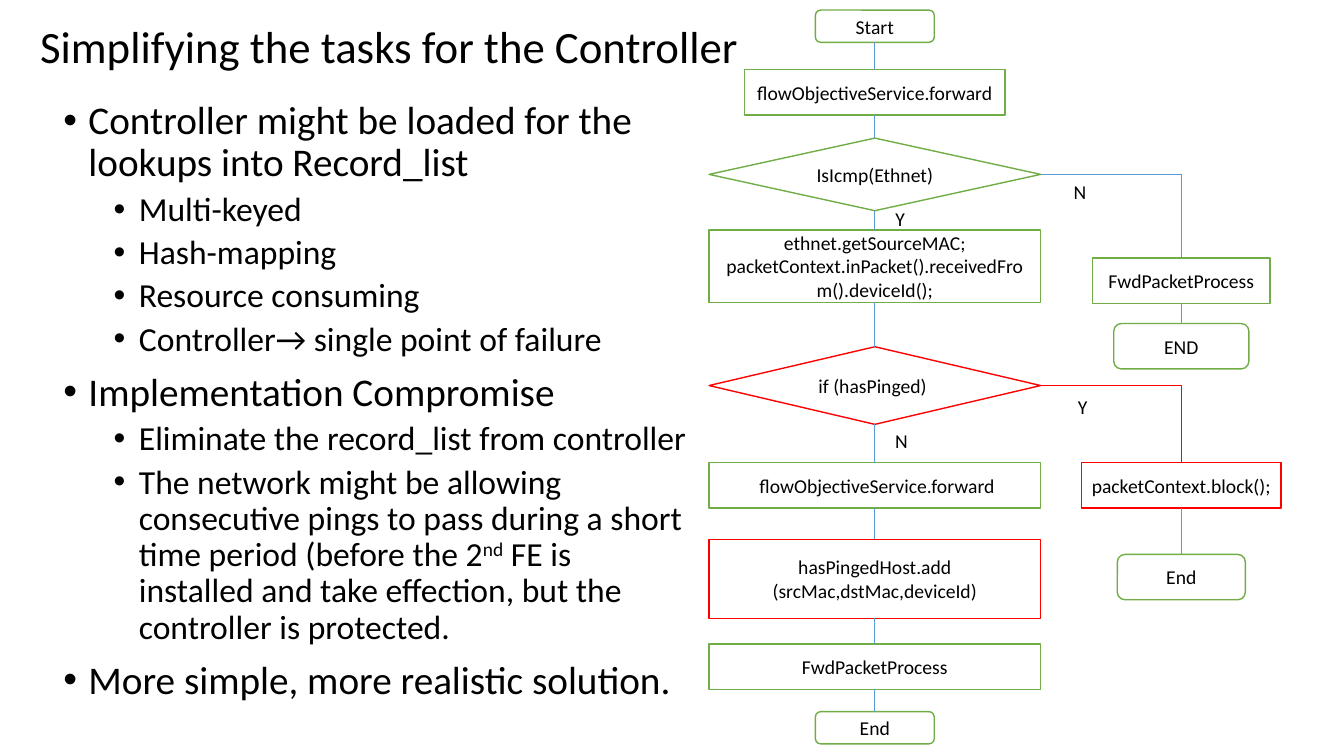
from dataclasses import dataclass
from typing import Any, NamedTuple

import lxml.etree
import pptx
import pptx.dml.color
import pptx.enum.shapes
import pptx.enum.text
import pptx.oxml.ns
import pptx.shapes.autoshape
import pptx.slide
import pptx.text.text
import pptx.util

SHAPES = pptx.enum.shapes.MSO_SHAPE
ALIGN = pptx.enum.text.PP_ALIGN
ANCHOR = pptx.enum.text.MSO_ANCHOR
AUTO_SIZE = pptx.enum.text.MSO_AUTO_SIZE
Box = pptx.shapes.autoshape.Shape


@dataclass(frozen=True)
class Theme:
    font: str = "Calibri"
    ink: str = "000000"
    paper: str = "FFFFFF"
    existing: str = "70AD47"
    added: str = "FF0000"
    flow: str = "5B9BD5"
    title_size: int = 32
    point_size: int = 28
    detail_size: int = 24
    chart_size: int = 14
    border: float = 1
    connector: float = 0.5


class Step(NamedTuple):
    name: str
    lines: list[str]
    center: float
    top: float
    width: float
    height: float
    kind: Any = SHAPES.RECTANGLE
    line: str = Theme.existing


class Link(NamedTuple):
    start: str
    end: str
    bent: bool = False
    color: str = Theme.flow


class Answer(NamedTuple):
    text: str
    left: float
    top: float
    width: float


class Bullet(NamedTuple):
    level: int
    spans: list[str]


THEME = Theme()
COLUMNS, ROWS = 160, 90
UNIT = pptx.util.Inches(7.5) / ROWS
MAIN, SIDE = 104.15, 140.64
WIDE, ROW, CAP = 39.48, 5.4, 3.84
ROUND, DECISION = SHAPES.ROUNDED_RECTANGLE, SHAPES.FLOWCHART_DECISION
TOP, BOTTOM, RIGHT = 0, 2, 3

STEPS = [
    Step("start", ["Start"], MAIN, 1.2, 14.16, CAP, ROUND),
    Step("forward", ["flowObjectiveService.forward"], MAIN, 8.28, 30.96, ROW),
    Step("is icmp", ["IsIcmp(Ethnet)"], MAIN, 16.44, WIDE, 8.64, DECISION),
    Step("read source", ["ethnet.getSourceMAC;", "packetContext.inPacket().receivedFrom().deviceId();"],
         MAIN, 27.36, WIDE, 8.64),
    Step("has pinged", ["if (hasPinged) "], MAIN, 41.28, WIDE, 9.24, DECISION, THEME.added),
    Step("forward again", [" flowObjectiveService.forward"], MAIN, 55.08, WIDE, ROW),
    Step("add host", ["hasPingedHost.add", "(srcMac,dstMac,deviceId)"],
         MAIN, 64.2, WIDE, 9.42, line=THEME.added),
    Step("process", ["FwdPacketProcess"], MAIN, 76.68, WIDE, ROW),
    Step("end", ["End"], MAIN, 84.72, 14.16, CAP, ROUND),
    Step("other process", ["FwdPacketProcess"], SIDE, 30.72, 21.12, ROW),
    Step("other end", ["END"], SIDE, 38.52, 16.08, ROW, ROUND),
    Step("block", ["packetContext.block();"], SIDE, 55.08, 23.76, ROW, line=THEME.added),
    Step("block end", ["End"], SIDE, 66, 15.24, ROW, ROUND),
]

MAIN_NAMES = [step.name for step in STEPS if step.center == MAIN]
LINKS = [Link(start, end) for start, end in zip(MAIN_NAMES, MAIN_NAMES[1:])] + [
    Link("is icmp", "other process", True),
    Link("other process", "other end"),
    Link("has pinged", "block", True, THEME.added),
    Link("block", "block end"),
]

ANSWERS = [
    Answer("N", 126.6, 20.88, 3.96),
    Answer("Y", 105.36, 24, 3.6),
    Answer("Y", 127.08, 46.44, 3.6),
    Answer("N", 105.36, 50.52, 3.96),
]

BULLETS = [
    Bullet(0, ["Controller might be loaded for the lookups into Record_list"]),
    Bullet(1, ["Multi-keyed"]),
    Bullet(1, ["Hash-mapping"]),
    Bullet(1, ["Resource consuming"]),
    Bullet(1, ["Controller→ single point of failure"]),
    Bullet(0, ["Implementation Compromise"]),
    Bullet(1, ["Eliminate the record_list from controller"]),
    Bullet(1, ["The network might be allowing consecutive pings to pass during a short time period (before the 2",
               "nd", " FE is installed and take effection, but the controller is protected."]),
    Bullet(0, ["More simple, more realistic solution."]),
]


def grid(*lengths: float) -> list[int]:
    return [round(length * UNIT) for length in lengths]


def rgb(color: str) -> pptx.dml.color.RGBColor:
    return pptx.dml.color.RGBColor.from_string(color)


def apply(target: Any, values: dict[str, Any]) -> None:
    for name, value in values.items():
        setattr(target, name, value)


def add_span(para: Any, text: str, size: float) -> Any:
    span = para.add_run()
    span.text = text
    apply(span.font, {"name": THEME.font, "size": pptx.util.Pt(size)})
    span.font.color.rgb = rgb(THEME.ink)
    return span


def write(box: Box, lines: list[str], size: float, align: Any) -> None:
    frame = box.text_frame
    for index, line in enumerate(lines):
        para = frame.add_paragraph() if index else frame.paragraphs[0]
        para.alignment = align
        add_span(para, line, size)


def draw_step(page: pptx.slide.Slide, step: Step) -> Box:
    left = step.center - step.width / 2
    box = page.shapes.add_shape(step.kind, *grid(left, step.top, step.width, step.height))
    box.shadow.inherit = False
    box.fill.solid()
    box.fill.fore_color.rgb = rgb(THEME.paper)
    box.line.color.rgb = rgb(step.line)
    box.line.width = pptx.util.Pt(THEME.border)
    apply(box.text_frame, {"word_wrap": True, "vertical_anchor": ANCHOR.MIDDLE})
    write(box, step.lines, THEME.chart_size, ALIGN.CENTER)
    return box


def draw_link(page: pptx.slide.Slide, link: Link, boxes: dict[str, Box]) -> None:
    kinds = pptx.enum.shapes.MSO_CONNECTOR
    line = page.shapes.add_connector(kinds.ELBOW if link.bent else kinds.STRAIGHT, 0, 0, 0, 0)
    line.begin_connect(boxes[link.start], RIGHT if link.bent else BOTTOM)
    line.end_connect(boxes[link.end], TOP)
    line.line.color.rgb = rgb(link.color)
    line.line.width = pptx.util.Pt(THEME.connector)
    properties = line._element.spPr
    if link.bent:
        properties.find(pptx.oxml.ns.qn("a:prstGeom")).set("prst", "bentConnector2")
    lxml.etree.SubElement(properties, pptx.oxml.ns.qn("a:effectLst"))


def draw_label(page: pptx.slide.Slide, text: str, place: tuple, size: float, align: Any) -> None:
    box = page.shapes.add_textbox(*grid(*place))
    apply(box.text_frame, {"word_wrap": False, "auto_size": AUTO_SIZE.SHAPE_TO_FIT_TEXT})
    write(box, [text], size, align)


def draw_bullets(page: pptx.slide.Slide, bullets: list[Bullet]) -> None:
    frame = page.shapes.add_textbox(*grid(6.36, 11.4, 76.8, 77.16)).text_frame
    frame.word_wrap = True
    for index, bullet in enumerate(bullets):
        para = frame.add_paragraph() if index else frame.paragraphs[0]
        gap = pptx.util.Pt(5 if bullet.level else 10)
        apply(para, {"level": bullet.level, "line_spacing": 0.9, "space_before": gap})
        properties = para._p.get_or_add_pPr()
        properties.set("marL", str(pptx.util.Inches(0.25 + 0.5 * bullet.level)))
        properties.set("indent", str(pptx.util.Inches(-0.25)))
        for tag, name, value in (("a:buFont", "typeface", "Arial"), ("a:buChar", "char", "•")):
            lxml.etree.SubElement(properties, pptx.oxml.ns.qn(tag)).set(name, value)
        for text in bullet.spans:
            span = add_span(para, text, THEME.detail_size if bullet.level else THEME.point_size)
            if text == "nd":
                span.font._element.set("baseline", "30000")


deck = pptx.Presentation()
apply(deck, dict(zip(("slide_width", "slide_height"), grid(COLUMNS, ROWS))))
page = deck.slides.add_slide(deck.slide_layouts[6])
boxes = {step.name: draw_step(page, step) for step in STEPS}
for link in LINKS:
    draw_link(page, link, boxes)
for answer in ANSWERS:
    draw_label(page, answer.text, (answer.left, answer.top, answer.width, 4.08), THEME.chart_size, ALIGN.CENTER)
draw_label(page, "Simplifying the tasks for the Controller", (3.6, 1.68, 86.4, 7.68), THEME.title_size, ALIGN.LEFT)
draw_bullets(page, BULLETS)
deck.save("out.pptx")
